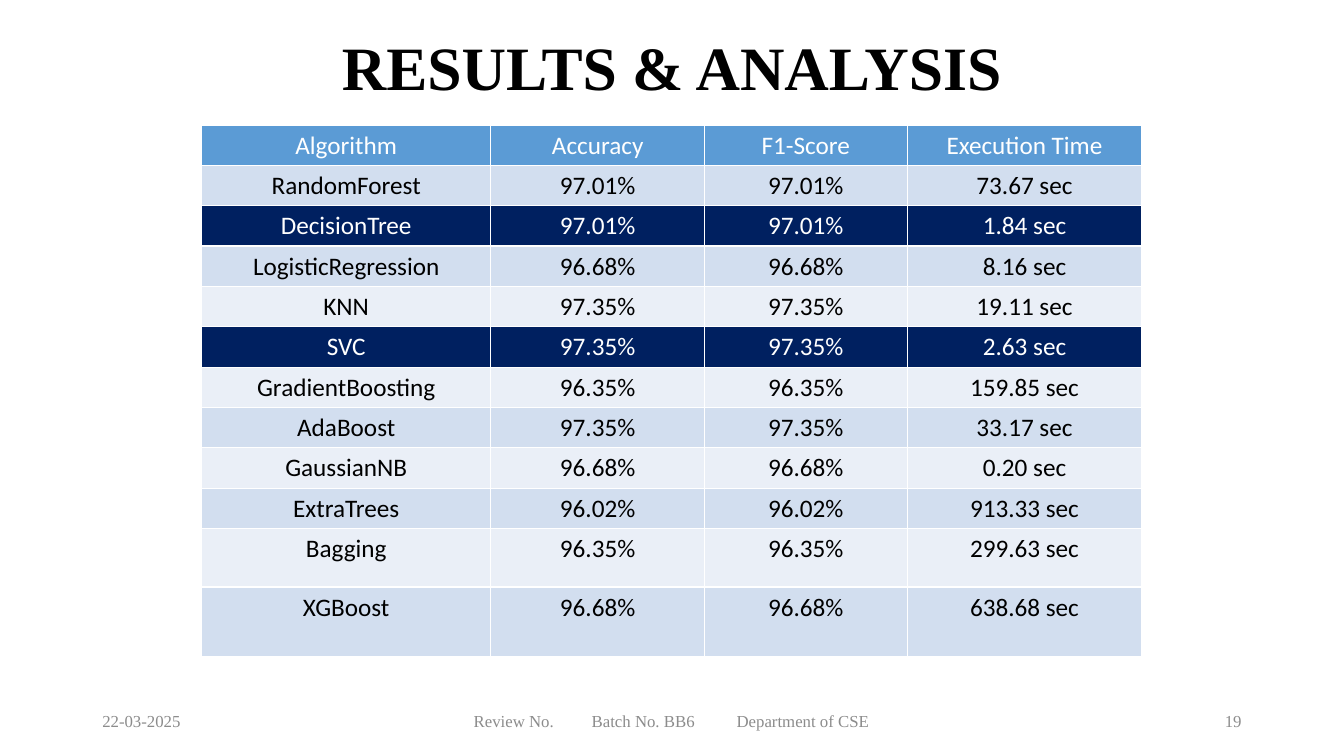
from dataclasses import dataclass

from lxml import etree
from pptx import Presentation
from pptx import util as u
from pptx.dml.color import RGBColor
from pptx.enum import text
from pptx.oxml import ns

UNIT = u.Inches(1) // 12  # the slide is a grid of 160 columns by 90 rows
BLACK = RGBColor(0x00, 0x00, 0x00)
WHITE = RGBColor(0xFF, 0xFF, 0xFF)
GREY = RGBColor(0x8C, 0x8C, 0x8C)
BLUE = RGBColor(0x5B, 0x9B, 0xD5)
NAVY = RGBColor(0x00, 0x20, 0x60)
BANDS = (RGBColor(0xEA, 0xEF, 0xF7), RGBColor(0xD2, 0xDE, 0xEF))

TITLE_FONT = dict(name="Times New Roman", size=u.Pt(44), bold=True)
FOOTER_FONT = dict(name="Times New Roman", size=u.Pt(12))
TABLE_FONT = dict(name="Calibri", size=u.Pt(18), bold=False)

HEADER = ("Algorithm", "Accuracy", "F1-Score", "Execution Time")
COLUMN_WIDTHS = (34.44, 25.44, 24.12, 27.96)
HIGHLIGHTED = ("DecisionTree", "SVC")


@dataclass(frozen=True)
class Result:
    algorithm: str
    accuracy: str
    seconds: str
    height: float = 4.68

    def cells(self) -> tuple[str, ...]:
        """Every algorithm scored the same F1 as its accuracy."""
        return (self.algorithm, f"{self.accuracy}%", f"{self.accuracy}%",
                f"{self.seconds} sec")


@dataclass(frozen=True)
class FooterItem:
    words: str
    col: float
    width: float
    align: text.PP_ALIGN
    inset: float = 1.2
    tabs: tuple[float, ...] = ()


RESULTS = (
    Result("RandomForest", "97.01", "73.67"),
    Result("DecisionTree", "97.01", "1.84"),
    Result("LogisticRegression", "96.68", "8.16"),
    Result("KNN", "97.35", "19.11"),
    Result("SVC", "97.35", "2.63"),
    Result("GradientBoosting", "96.35", "159.85"),
    Result("AdaBoost", "97.35", "33.17"),
    Result("GaussianNB", "96.68", "0.20"),
    Result("ExtraTrees", "96.02", "913.33"),
    Result("Bagging", "96.35", "299.63", 6.96),
    Result("XGBoost", "96.68", "638.68", 8.28),
)
FOOTER = (
    FooterItem("22-03-2025", 11, 36, text.PP_ALIGN.LEFT),
    FooterItem("Review No.\tBatch No. BB6\tDepartment of CSE", 53, 54,
               text.PP_ALIGN.LEFT, 3.4, (14.05, 31.3)),
    FooterItem("19", 113, 36, text.PP_ALIGN.RIGHT),
)


def grid(*cells: float) -> list[u.Emu]:
    return [u.Emu(round(n * UNIT)) for n in cells]


def write(p, words: str, align: text.PP_ALIGN, color: RGBColor, fmt: dict) -> None:
    p.alignment = align
    r = p.add_run()
    r.text = words
    for key, value in fmt.items():
        setattr(r.font, key, value)
    r.font.color.rgb = color


def add_title(s) -> None:
    sp = s.shapes.title
    sp.left, sp.top, sp.width, sp.height = grid(0, 3.72, 160, 9.24)
    tf = sp.text_frame
    tf.auto_size = text.MSO_AUTO_SIZE.NONE
    tf.vertical_anchor = text.MSO_ANCHOR.BOTTOM
    p = tf.paragraphs[0]
    p.line_spacing = 0.9
    write(p, "RESULTS & ANALYSIS", text.PP_ALIGN.CENTER, BLACK, TITLE_FONT)


def add_footer(s, item: FooterItem) -> None:
    tf = s.shapes.add_textbox(*grid(item.col, 83.4, item.width, 4.8)).text_frame
    tf.word_wrap = True
    tf.vertical_anchor = text.MSO_ANCHOR.MIDDLE
    tf.margin_left, = grid(item.inset)
    p = tf.paragraphs[0]
    write(p, item.words, item.align, GREY, FOOTER_FONT)
    if item.tabs:
        stops = etree.SubElement(p._p.get_or_add_pPr(), ns.qn("a:tabLst"))
        for position in grid(*item.tabs):
            etree.SubElement(stops, ns.qn("a:tab"), pos=str(position), algn="l")


def fill_row(table, index: int, words: tuple[str, ...],
             fill: RGBColor, color: RGBColor) -> None:
    for cell, label in zip(table.rows[index].cells, words):
        cell.fill.solid()
        cell.fill.fore_color.rgb = fill
        write(cell.text_frame.paragraphs[0], label, text.PP_ALIGN.CENTER,
              color, TABLE_FONT)


def add_results(s) -> None:
    heights = [4.68] + [result.height for result in RESULTS]
    frame = grid(24, 14.88, sum(COLUMN_WIDTHS), sum(heights))
    table = s.shapes.add_table(len(heights), len(HEADER), *frame).table
    for column, width in zip(table.columns, grid(*COLUMN_WIDTHS)):
        column.width = width
    for row, height in zip(table.rows, grid(*heights)):
        row.height = height
    fill_row(table, 0, HEADER, BLUE, WHITE)
    for i, result in enumerate(RESULTS, start=1):
        chosen = result.algorithm in HIGHLIGHTED
        fill_row(table, i, result.cells(), NAVY if chosen else BANDS[i % 2],
                 WHITE if chosen else BLACK)


def main() -> None:
    prs = Presentation()
    prs.slide_width, prs.slide_height = grid(160, 90)
    s = prs.slides.add_slide(prs.slide_layouts[5])
    add_title(s)
    for item in FOOTER:
        add_footer(s, item)
    add_results(s)
    prs.save("out.pptx")


if __name__ == "__main__":
    main()
